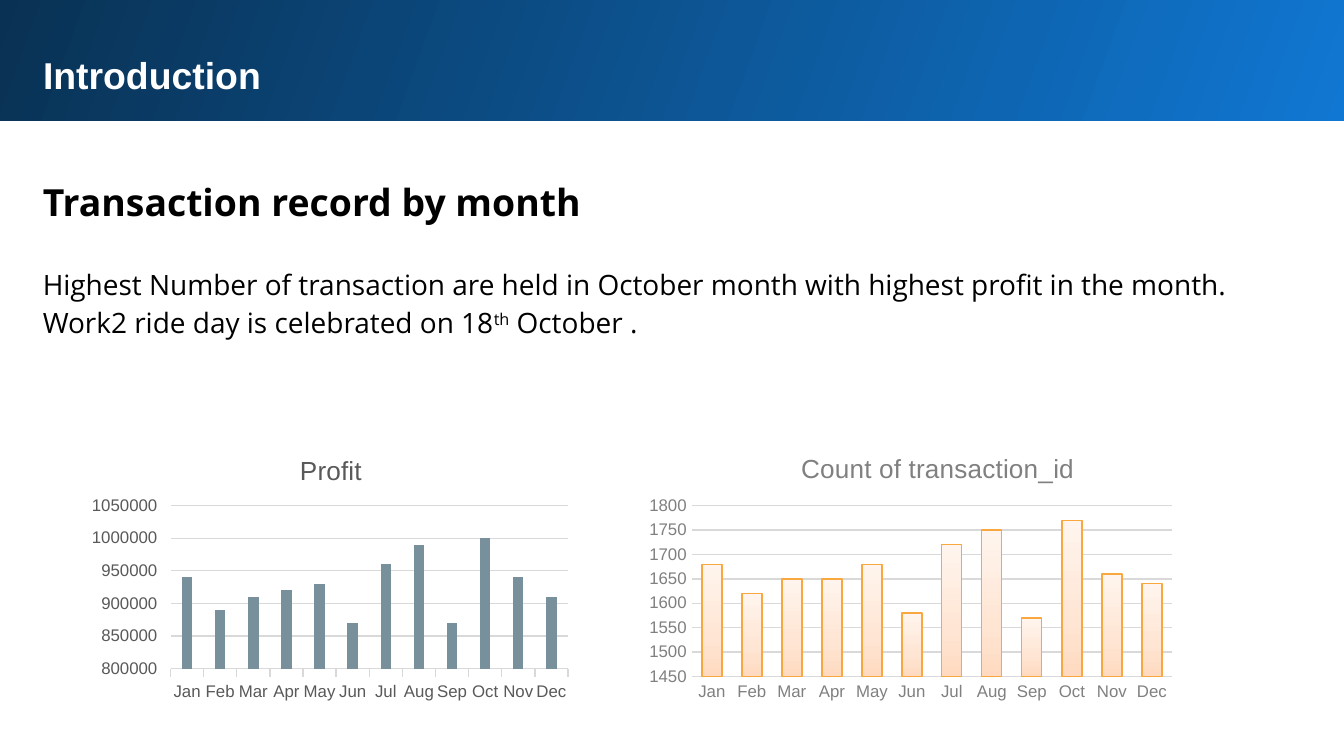
from lxml.etree import SubElement
from pptx import Presentation
from pptx.chart.data import CategoryChartData
from pptx.dml.color import RGBColor
from pptx.enum.chart import XL_CHART_TYPE as CT, XL_TICK_MARK as TM
from pptx.enum.shapes import MSO_SHAPE
from pptx.enum.text import MSO_ANCHOR, MSO_AUTO_SIZE, PP_ALIGN
from pptx.oxml.ns import qn
from pptx.util import Inches, Pt

rgb = RGBColor.from_string


def set_gradient(fill, element, angle, stops):
    """Fill with a linear gradient of (percent, hex) stops."""
    fill.gradient()
    fill.gradient_angle = angle
    stop_list = next(element.iter(qn("a:gsLst")))
    for old in list(stop_list):
        stop_list.remove(old)
    for pos, color in stops:
        gs = SubElement(stop_list, qn("a:gs"), pos=str(pos * 1000))
        SubElement(gs, qn("a:srgbClr"), val=color)


def set_font(font, name, size, color, bold=False):
    """Set the face, size, colour and weight of a font."""
    font.name, font.size, font.bold = name, Pt(size), bold
    font.color.rgb = rgb(color)


prs = Presentation()
prs.slide_width = Inches(10)
prs.slide_height = prs.slide_width * 9 // 16
s = prs.slides.add_slide(prs.slide_layouts[5])

banner = s.shapes.add_shape(MSO_SHAPE.RECTANGLE, Inches(-0.02), Inches(-0.02),
                            Inches(10.05), Inches(0.92))
banner.shadow.inherit = False
banner.line.fill.background()
set_gradient(banner.fill, banner.element, 160, [(0, "1077D2"), (100, "093153")])

# Title and text blocks share one column
title = s.shapes.title
banner.element.addnext(title.element)
heading, body = (s.shapes.add_textbox(0, 0, 0, 0) for _ in range(2))
blocks = [
    (title, 0.29, 0.51, "Arial", 20, "FFFFFF", True, 1.0, [["Introduction"]]),
    (heading, 1.18, 0.56, "Open Sans", 20, "000000", True, 1.15,
     [["Transaction record by month"]]),
    (body, 1.85, 0.76, "Open Sans", 15, "000000", False, 1.15,
     [["Highest Number of transaction are held in October month "
       "with highest profit in the month. "],
      ["Work2 ride day is celebrated on 18", "th", " October ."]]),
]
for sp, top, height, face, size, color, bold, spacing, paragraphs in blocks:
    sp.left, sp.top = Inches(0.22), Inches(top)
    sp.width, sp.height = Inches(9.37), Inches(height)
    tf = sp.text_frame
    tf.word_wrap = True
    tf.auto_size = MSO_AUTO_SIZE.SHAPE_TO_FIT_TEXT
    tf.vertical_anchor = MSO_ANCHOR.TOP
    tf.margin_left = tf.margin_right = tf.margin_top = tf.margin_bottom = Inches(0.1)
    for i, runs in enumerate(paragraphs):
        p = tf.add_paragraph() if i else tf.paragraphs[0]
        p.alignment, p.line_spacing = PP_ALIGN.LEFT, spacing
        p.space_before = Pt(0)
        set_font(p.font, face, size, color, bold)
        for text in runs:
            r = p.add_run()
            r.text = text
            if text == "th":
                r.font._element.set("baseline", "30000")

months = "Jan Feb Mar Apr May Jun Jul Aug Sep Oct Nov Dec".split()
charts = [
    ("Count of transaction_id", 4.75, 4.05, (0.29, 0.05), "808080", TM.NONE,
     100, -24, (1450, 1800, 50),
     [1680, 1620, 1650, 1650, 1680, 1580, 1720, 1750, 1570, 1770, 1660, 1640]),
    ("Profit", 0.61, 3.69, (0.43, 0.06), "595959", TM.OUTSIDE,
     219, -27, (800000, 1050000, 50000),
     [940000, 890000, 910000, 920000, 930000, 870000,
      960000, 990000, 870000, 1000000, 940000, 910000]),
]
for name, left, width, title_at, color, tick, gap, overlap, scale, values in charts:
    data = CategoryChartData()
    data.categories = months
    data.add_series(name, values)
    chart = s.shapes.add_chart(CT.COLUMN_CLUSTERED, Inches(left), Inches(3.22),
                               Inches(width), Inches(2.04), data).chart
    set_font(chart.font, "Arial", 10, "000000")
    chart.has_legend = False
    chart.has_title = True
    p = chart.chart_title.text_frame.paragraphs[0]
    p.text = name
    set_font(p.font, "Arial", 14, color)
    chart.chart_title.include_in_layout = False
    layout = next(chart.chart_title._element.iter(qn("c:layout")))
    manual = SubElement(layout, qn("c:manualLayout"))
    for tag, value in zip(("xMode", "yMode", "x", "y"), ("edge", "edge", *title_at)):
        SubElement(manual, qn("c:" + tag), val=str(value))

    cat, val = chart.category_axis, chart.value_axis
    for axis in (cat, val):
        axis.major_tick_mark, axis.minor_tick_mark = tick, TM.NONE
        set_font(axis.tick_labels.font, "Arial", 9, color)
    val.minimum_scale, val.maximum_scale, val.major_unit = scale
    val.has_major_gridlines = True
    val.format.line.fill.background()
    for line in (cat.format.line, val.major_gridlines.format.line):
        line.color.rgb, line.width = rgb("D9D9D9"), Pt(0.75)

    plot = chart.plots[0]
    plot.vary_by_categories = False
    plot.gap_width, plot.overlap = gap, overlap
    bars = plot.series[0]
    if name == "Profit":
        bars.format.fill.solid()
        bars.format.fill.fore_color.rgb = rgb("78909C")
    else:
        set_gradient(bars.format.fill, bars._element, 90,
                     [(0, "FFDAC0"), (35, "FFE5D3"), (100, "FFF5EE")])
        bars.format.line.color.rgb = rgb("F9A73F")
        bars.format.line.width = Pt(0.75)

prs.save("out.pptx")
